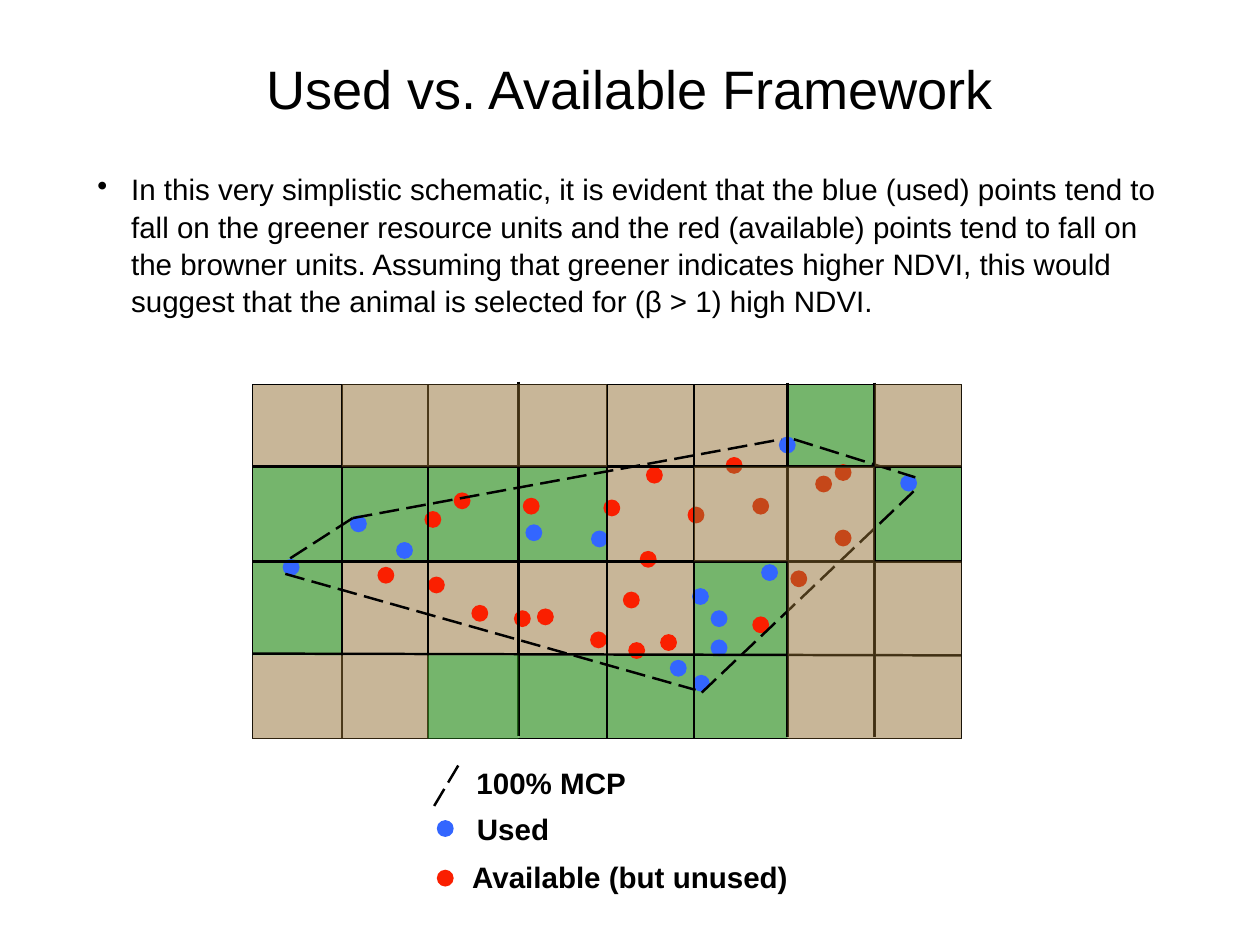
import dataclasses
import itertools

import lxml.etree
import pptx
import pptx.dml.color
import pptx.enum.dml
import pptx.enum.shapes
import pptx.enum.text
import pptx.oxml
import pptx.oxml.ns
import pptx.util

EMU_PER_PX = 9144
DOT_SIZE = 19
INSET = 6


@dataclasses.dataclass(frozen=True)
class Theme:
    font: str = "Arial"
    ink: str = "000000"
    green: str = "329224"
    brown: str = "926F32"
    used: str = "3366FF"
    available: str = "FA1F00"
    green_opacity: int = 67
    brown_opacity: int = 50
    title_size: int = 44
    text_size: int = 24
    line_width: int = 2
    frame_width: int = 1


THEME = Theme()
SHAPE = pptx.enum.shapes.MSO_SHAPE
ALIGN = pptx.enum.text.PP_ALIGN

COLUMN_EDGES = (0, 101, 198, 300, 400, 498, 604, 702, 800)
ROW_EDGES = (0, 93, 200, 306, 400)
COLUMN_LINE_RISE = {300: 3, 604: 2, 702: 2}
ROW_LINE_START = {306: 304}
BACK_UNITS = ("B...BBG.", "GGGGB..G", "GBBBBG..", "...GGG..")
FRONT_UNITS = (".BBB...B", ".....BB.", "......BB", "BBG...BB")
USED_POINTS = (
    (34, 197), (110, 148), (162, 178), (308, 158), (382, 165), (471, 311), (497, 328),
    (517, 288), (517, 255), (496, 230), (574, 203), (594, 59), (731, 102),
)
AVAILABLE_POINTS = (
    (227, 122), (141, 206), (194, 143), (491, 138), (321, 253), (247, 249), (295, 255),
    (396, 130), (381, 279), (424, 291), (460, 282), (418, 234), (657, 164), (564, 262),
    (437, 188), (607, 210), (635, 103), (444, 93), (198, 217), (305, 128), (564, 128),
    (657, 90), (534, 82),
)
MCP_SIDES = (
    (113, 151, 597, 62), (113, 151, 37, 200), (37, 214, 500, 345),
    (611, 62, 748, 105), (507, 348, 748, 119),
)


def px(length):
    return pptx.util.Emu(length * EMU_PER_PX)


def color(value):
    return pptx.dml.color.RGBColor.from_string(value)


def add_area(slide, kind, box, fill=None, opacity=100):
    shape = slide.shapes.add_shape(kind, *map(px, box))
    shape.shadow.inherit = False
    shape.line.fill.background()
    if fill is None:
        shape.fill.background()
        return shape
    shape.fill.solid()
    shape.fill.fore_color.rgb = color(fill)
    if opacity < 100:
        color_element = shape.fill._xPr.find(".//" + pptx.oxml.ns.qn("a:srgbClr"))
        alpha = lxml.etree.SubElement(color_element, pptx.oxml.ns.qn("a:alpha"))
        alpha.set("val", str(opacity * 1000))
    return shape


def add_dot(slide, left, top, fill):
    add_area(slide, SHAPE.OVAL, (left, top, DOT_SIZE, DOT_SIZE), fill)


def add_line(slide, start_x, start_y, end_x, end_y, dashed=False):
    connector = slide.shapes.add_connector(
        pptx.enum.shapes.MSO_CONNECTOR.STRAIGHT, *map(px, (start_x, start_y, end_x, end_y))
    )
    connector.line.color.rgb = color(THEME.ink)
    connector.line.width = pptx.util.Pt(THEME.line_width)
    if dashed:
        connector.line.dash_style = pptx.enum.dml.MSO_LINE.LONG_DASH
    lxml.etree.SubElement(connector._element.spPr, pptx.oxml.ns.qn("a:effectLst"))
    return connector


def add_text(slide, box, text, size, align=ALIGN.CENTER, bold=False, wrap=True):
    frame = slide.shapes.add_textbox(*map(px, box)).text_frame
    frame.word_wrap = wrap
    frame.vertical_anchor = pptx.enum.text.MSO_ANCHOR.MIDDLE
    frame.margin_left = frame.margin_right = px(INSET)
    frame.margin_top = frame.margin_bottom = px(INSET)
    frame.text = text
    paragraph = frame.paragraphs[0]
    paragraph.alignment = align
    font = paragraph.runs[0].font
    font.name = THEME.font
    font.size = pptx.util.Pt(size)
    font.bold = bold
    font.color.rgb = color(THEME.ink)
    return paragraph


def add_title(slide, box):
    add_text(slide, box, "Used vs. Available Framework", THEME.title_size)


def add_explanation(slide, box):
    paragraph = add_text(
        slide,
        box,
        "In this very simplistic schematic, it is evident that the blue (used) points tend to "
        "fall on the greener resource units and the red (available) points tend to fall on "
        "the browner units. Assuming that greener indicates higher NDVI, this would suggest "
        "that the animal is selected for (β > 1) high NDVI.",
        THEME.text_size,
        ALIGN.LEFT,
    )
    paragraph.line_spacing = 1.05
    properties = paragraph._p.get_or_add_pPr()
    properties.set("marL", str(px(38)))
    properties.set("indent", str(px(-38)))
    bullet = lxml.etree.SubElement(properties, pptx.oxml.ns.qn("a:buChar"))
    bullet.set("char", "•")


def add_units(slide, left, top, units):
    styles = {
        "G": (THEME.green, THEME.green_opacity),
        "B": (THEME.brown, THEME.brown_opacity),
    }
    for (row_start, row_end), row in zip(itertools.pairwise(ROW_EDGES), units):
        for (column_start, column_end), unit in zip(itertools.pairwise(COLUMN_EDGES), row):
            if unit in styles:
                box = (left + column_start, top + row_start,
                       column_end - column_start, row_end - row_start)
                add_area(slide, SHAPE.RECTANGLE, box, *styles[unit])


def add_grid(slide, box):
    left, top, width, height = box
    frame = add_area(slide, SHAPE.RECTANGLE, box)
    frame.line.color.rgb = color(THEME.ink)
    frame.line.width = pptx.util.Pt(THEME.frame_width)
    for x in COLUMN_EDGES[1:-1]:
        y = top - COLUMN_LINE_RISE.get(x, 0)
        line = add_line(slide, left + x, y, left + x, y + height)
        if x * 2 == width:
            line.begin_connect(frame, 0)
            line.end_connect(frame, 2)
    for y in ROW_EDGES[1:-1]:
        start_y = top + ROW_LINE_START.get(y, y)
        line = add_line(slide, left, start_y, left + width, top + y)
        if y * 2 == height:
            line.begin_connect(frame, 1)
            line.end_connect(frame, 3)


def add_resource_map(slide, box):
    left, top, width, height = box
    add_units(slide, left, top, BACK_UNITS)
    for points, fill in ((USED_POINTS, THEME.used), (AVAILABLE_POINTS, THEME.available)):
        for x, y in points:
            add_dot(slide, left + x, top + y, fill)
    for start_x, start_y, end_x, end_y in MCP_SIDES:
        add_line(slide, left + start_x, top + start_y, left + end_x, top + end_y, dashed=True)
    add_grid(slide, box)
    add_units(slide, left, top, FRONT_UNITS)


def add_legend(slide, box):
    left, top, width, height = box
    add_line(slide, left, top + 52, left + 31, top, dashed=True)
    add_dot(slide, left + 3, top + 68, THEME.used)
    add_dot(slide, left + 3, top + 124, THEME.available)
    labels = (
        ("100% MCP", 38, 0, 188),
        ("Used", 42, 52, 94),
        ("Available (but unused)", 31, 106, 380),
    )
    for text, x, y, label_width in labels:
        label_box = (left + x, top + y, label_width, 52)
        add_text(slide, label_box, text, THEME.text_size, bold=True, wrap=False)


def main():
    presentation = pptx.Presentation()
    presentation.slide_width = px(1422)
    presentation.slide_height = px(1067)
    slide = presentation.slides.add_slide(presentation.slide_layouts[6])
    add_title(slide, (104, 28, 1214, 142))
    add_explanation(slide, (104, 189, 1214, 173))
    add_resource_map(slide, (285, 434, 800, 400))
    add_legend(slide, (490, 858, 411, 158))
    presentation.save("out.pptx")


if __name__ == "__main__":
    main()
